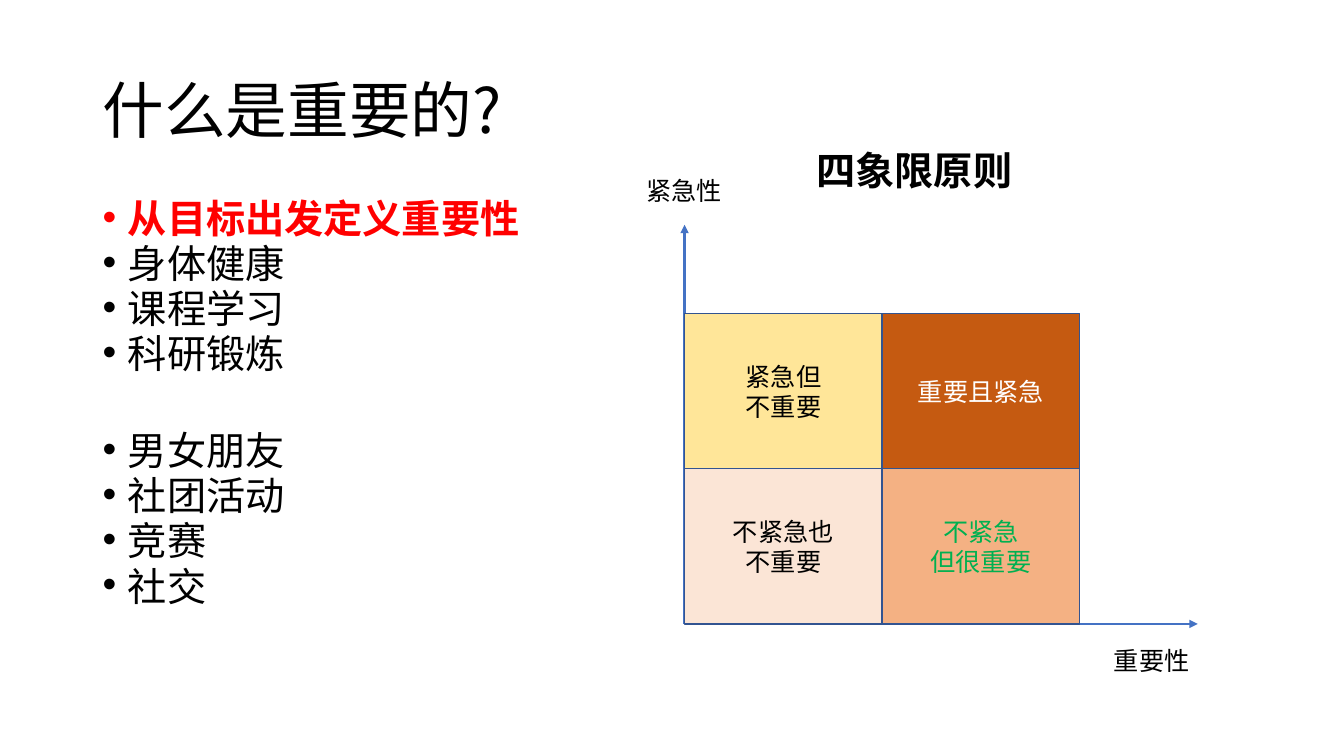
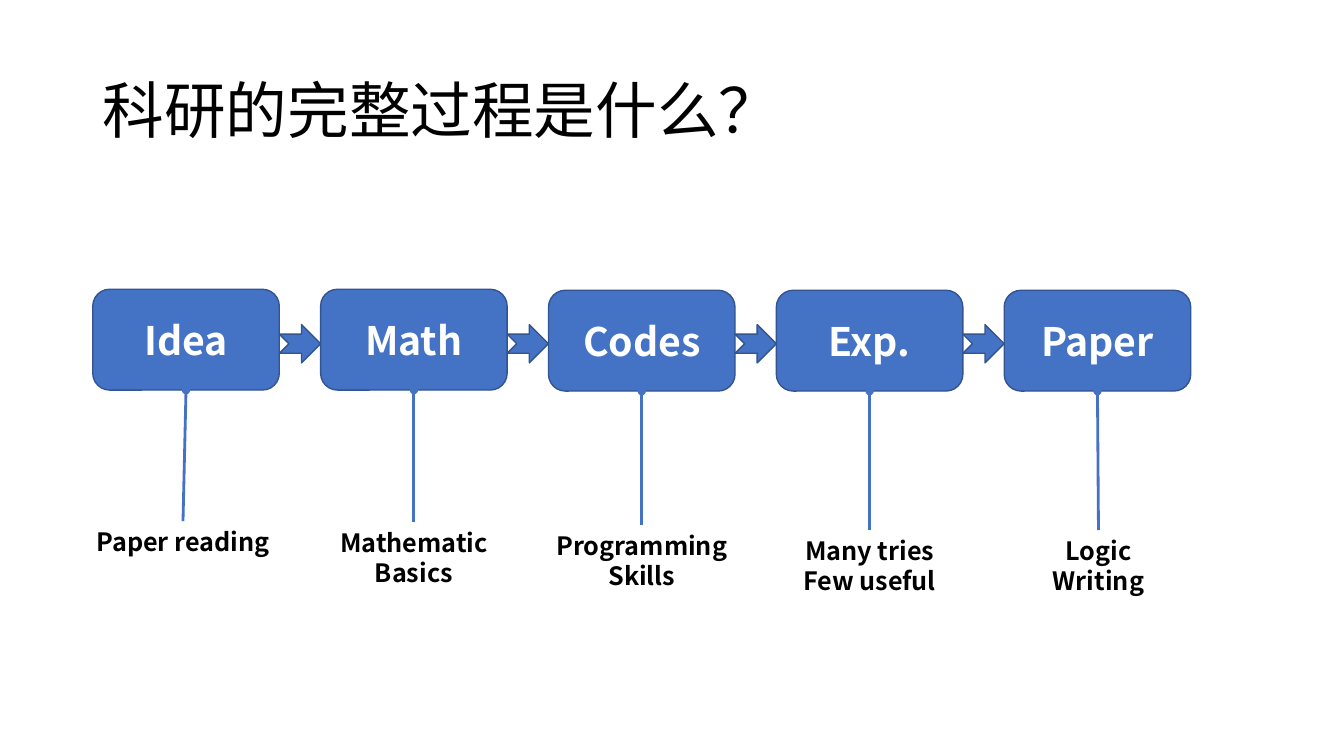
"""Build two slides: a priority matrix and the research process."""
from lxml import etree
from pptx import Presentation
from pptx.dml.color import RGBColor
from pptx.enum.shapes import MSO_CONNECTOR, MSO_SHAPE
from pptx.enum.text import MSO_ANCHOR, PP_ALIGN
from pptx.oxml.ns import qn
from pptx.util import Inches, Pt

FONT = "Noto Sans CJK SC"
BLACK = RGBColor(0x00, 0x00, 0x00)
WHITE = RGBColor(0xFF, 0xFF, 0xFF)
RED = RGBColor(0xFF, 0x00, 0x00)
GREEN = RGBColor(0x00, 0xB0, 0x50)
BLUE = RGBColor(0x44, 0x72, 0xC4)
EDGE = RGBColor(0x32, 0x54, 0x91)
YELLOW = RGBColor(0xFF, 0xE6, 0x99)
RUST = RGBColor(0xC5, 0x5A, 0x11)
PEACH = RGBColor(0xFB, 0xE5, 0xD6)
ORANGE = RGBColor(0xF4, 0xB1, 0x83)

SLIDE_W, SLIDE_H = 13.33, 7.5
MARGIN = 0.92
CONTENT_W = SLIDE_W - 2 * MARGIN

ORIGIN_X, ORIGIN_Y = 6.79, 6.19
CELL_W, CELL_H = 1.96, 1.54

STAGE_W, STAGE_H, STAGE_GAP = 1.85, 1.0, 0.41
STAGE_PITCH = STAGE_W + STAGE_GAP
ARROW_TOP, ARROW_H = 3.22, 0.38
NOTE_W, NOTE_LINE_H = 1.98, 0.35

PRIORITIES = ["从目标出发定义重要性", "身体健康", "课程学习", "科研锻炼"]
DISTRACTIONS = ["男女朋友", "社团活动", "竞赛", "社交"]
QUADRANTS = [
    (0, 0, ["不紧急也", "不重要"], PEACH, BLACK),
    (1, 0, ["不紧急", "但很重要"], ORANGE, GREEN),
    (0, 1, ["紧急但", "不重要"], YELLOW, BLACK),
    (1, 1, ["重要且紧急"], RUST, WHITE),
]
STAGES = [
    ("Idea", 2.87, ["Paper reading"], 5.17, -0.03),
    ("Math", 2.87, ["Mathematic", "Basics"], 5.18, 0),
    ("Codes", 2.88, ["Programming", "Skills"], 5.21, 0),
    ("Exp.", 2.88, ["Many tries", "Few useful"], 5.26, 0),
    ("Paper", 2.88, ["Logic", "Writing"], 5.26, 0.01),
]


def write(frame, lines, size, color=BLACK, bold=False, align=PP_ALIGN.LEFT):
    """Fill a text frame with one paragraph per line and return the paragraphs."""
    for index, line in enumerate(lines):
        paragraph = frame.paragraphs[0] if index == 0 else frame.add_paragraph()
        paragraph.alignment = align
        run = paragraph.add_run()
        run.text = line
        run.font.name, run.font.size, run.font.bold = FONT, Pt(size), bold
        run.font.color.rgb = color
        east_asian = etree.SubElement(run.font._element, qn("a:ea"))
        east_asian.set("typeface", FONT)
    return frame.paragraphs


def add_text(slide, left, top, width, height, lines, size, wrap=True, **style):
    """Add a text box and return its frame."""
    box = slide.shapes.add_textbox(*map(Inches, (left, top, width, height)))
    box.text_frame.word_wrap = wrap
    write(box.text_frame, lines, size, **style)
    return box.text_frame


def add_title(slide, title):
    """Add the slide title in the shared style."""
    frame = add_text(slide, MARGIN, 0.4, CONTENT_W, 1.45, [title], 44)
    frame.vertical_anchor = MSO_ANCHOR.MIDDLE
    frame.paragraphs[0].line_spacing = 0.9


def add_block(slide, kind, left, top, width, height, fill, lines=(), size=18,
              color=WHITE, bold=False):
    """Add an outlined preset shape with centred text."""
    block = slide.shapes.add_shape(kind, *map(Inches, (left, top, width, height)))
    block.shadow.inherit = False
    block.fill.solid()
    block.fill.fore_color.rgb = fill
    block.line.color.rgb = EDGE
    block.line.width = Pt(1)
    block.text_frame.vertical_anchor = MSO_ANCHOR.MIDDLE
    write(block.text_frame, lines, size, color, bold, PP_ALIGN.CENTER)


def add_line(slide, start, end, end_tag, end_type):
    """Add a blue connector with one decorated end."""
    line = slide.shapes.add_connector(
        MSO_CONNECTOR.STRAIGHT, *map(Inches, (*start, *end)))
    line.line.color.rgb = BLUE
    line.line.width = Pt(2)
    properties = line._element.spPr
    etree.SubElement(properties.find(qn("a:ln")), qn(end_tag)).set("type", end_type)
    etree.SubElement(properties, qn("a:effectLst"))


def add_bullets(slide, groups):
    """Add a bulleted list with a wider gap between groups and a red lead item."""
    items = [item for group in groups for item in group]
    frame = add_text(slide, MARGIN, 2, CONTENT_W, 4.76, items, 28)
    for paragraph in frame.paragraphs:
        paragraph.line_spacing = 0.72
        paragraph.space_before = Pt(8)
        properties = paragraph._p.get_or_add_pPr()
        properties.set("marL", str(Inches(0.25)))
        properties.set("indent", str(-Inches(0.25)))
        etree.SubElement(properties, qn("a:buFont")).set("typeface", "Arial")
        etree.SubElement(properties, qn("a:buChar")).set("char", "•")
    frame.paragraphs[len(groups[0])].space_before = Pt(45)
    lead = frame.paragraphs[0].runs[0].font
    lead.bold = True
    lead.color.rgb = RED


def add_matrix(slide):
    """Add the urgency and importance matrix with its axes and labels."""
    origin = (ORIGIN_X, ORIGIN_Y)
    for tip in ((11.88, ORIGIN_Y), (ORIGIN_X, 2.23)):
        add_line(slide, origin, tip, "a:tailEnd", "triangle")
    for column, row, lines, fill, color in QUADRANTS:
        add_block(slide, MSO_SHAPE.RECTANGLE, ORIGIN_X + column * CELL_W,
                  ORIGIN_Y - (row + 1) * CELL_H, CELL_W, CELL_H, fill, lines,
                  color=color)
    add_text(slide, 10.95, 6.35, 0.96, 0.4, ["重要性"], 18, wrap=False)
    add_text(slide, 6.31, 1.69, 0.96, 0.4, ["紧急性"], 18, wrap=False)
    add_text(slide, 8, 1.4, 2.17, 0.57, ["四象限原则"], 28, wrap=False, bold=True)


def add_process(slide):
    """Add the chain of stages with a note hanging below each."""
    for index, (name, top, note, note_top, lean) in enumerate(STAGES):
        left = MARGIN + index * STAGE_PITCH
        center = left + STAGE_W / 2
        foot = center + lean
        add_block(slide, MSO_SHAPE.ROUNDED_RECTANGLE, left, top, STAGE_W, STAGE_H,
                  BLUE, [name], 28, bold=True)
        if index < len(STAGES) - 1:
            add_block(slide, MSO_SHAPE.NOTCHED_RIGHT_ARROW, left + STAGE_W,
                      ARROW_TOP, STAGE_GAP, ARROW_H, BLUE)
        add_line(slide, (center, top + STAGE_H), (foot, note_top),
                 "a:headEnd", "oval")
        add_text(slide, foot - NOTE_W / 2, note_top, NOTE_W,
                 NOTE_LINE_H * len(note), note, 18, bold=True,
                 align=PP_ALIGN.CENTER)


def main():
    """Build and save the presentation."""
    deck = Presentation()
    deck.slide_width, deck.slide_height = Inches(SLIDE_W), Inches(SLIDE_H)
    blank = deck.slide_layouts[6]

    priorities = deck.slides.add_slide(blank)
    add_title(priorities, "什么是重要的?")
    add_bullets(priorities, [PRIORITIES, DISTRACTIONS])
    add_matrix(priorities)

    process = deck.slides.add_slide(blank)
    add_title(process, "科研的完整过程是什么？")
    add_process(process)

    deck.save("out.pptx")


main()
